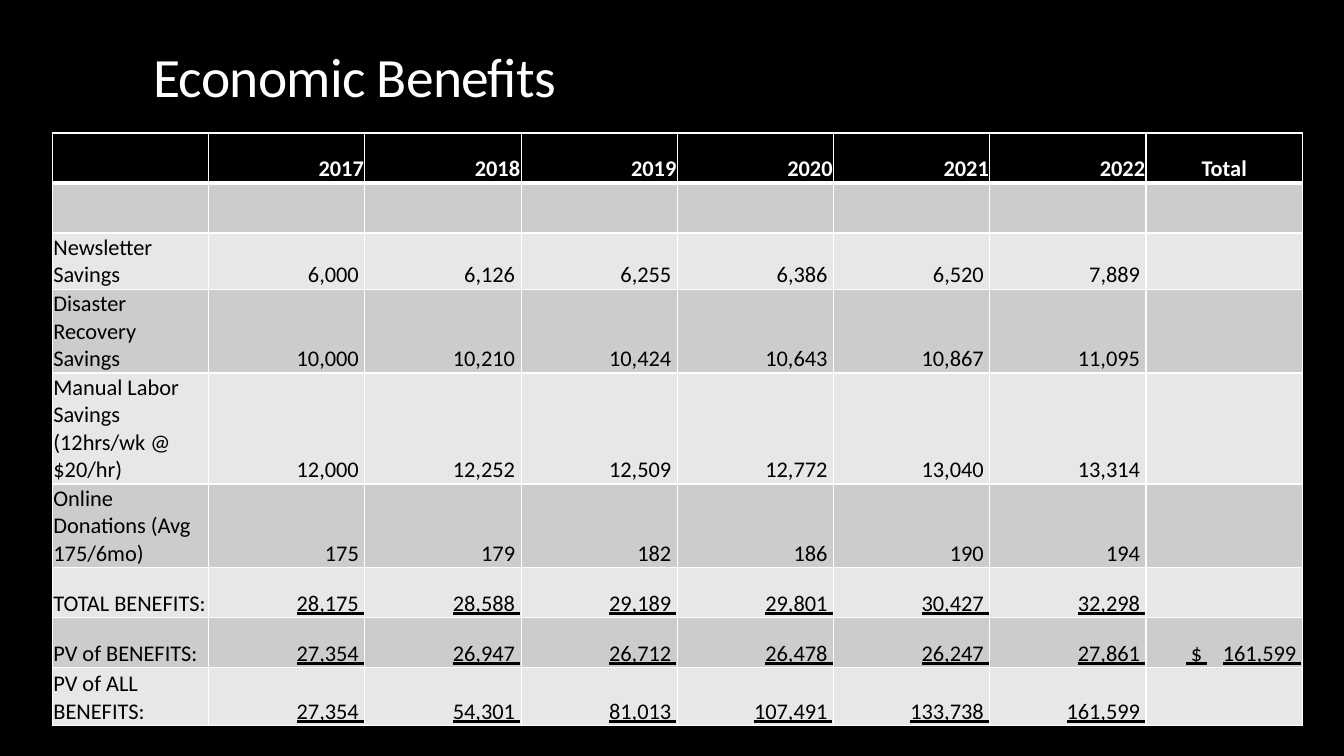
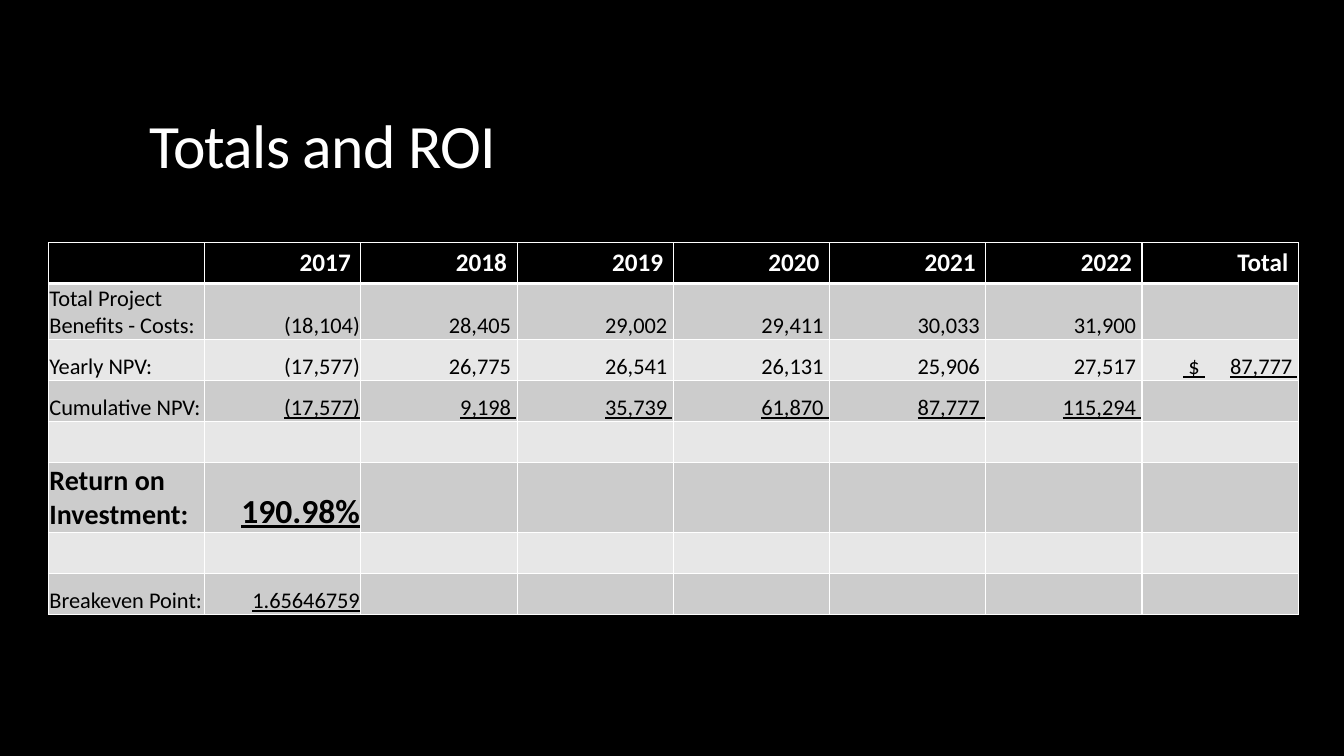
from dataclasses import dataclass
from typing import Optional, Union

from lxml.etree import SubElement
from pptx import Presentation
from pptx.dml.color import RGBColor
from pptx.enum.text import MSO_ANCHOR, MSO_AUTO_SIZE, PP_ALIGN
from pptx.oxml.ns import qn
from pptx.util import Inches, Pt


@dataclass(frozen=True)
class Theme:
    font: str = "Calibri"
    background: str = "000000"
    light: str = "FFFFFF"
    dark: str = "000000"
    bands: tuple[str, str] = ("CCCCCC", "E7E7E7")
    body_size: float = 16
    emphasis_size: float = 20
    result_size: float = 24
    title_tracking: int = -50
    thin_line: float = 1
    thick_line: float = 3
    tight_inset: float = 0.01
    header_inset: float = 0.1


@dataclass(frozen=True)
class Total:
    amount: int
    gap: float


@dataclass(frozen=True)
class Row:
    height: float
    label: str = ""
    values: tuple[Union[int, str], ...] = ()
    total: Optional[Total] = None
    underlined: bool = False
    bold: bool = False
    label_size: float = 16
    value_size: float = 16


@dataclass(frozen=True)
class TableSlide:
    title: str
    title_left: float
    title_height: float
    title_size: float
    table_left: float
    table_top: float
    header_height: float
    header_size: float
    header_inset: float
    total_alignment: PP_ALIGN
    rows: tuple[Row, ...]


THEME = Theme()
YEARS = tuple(str(year) for year in range(2017, 2023))
COLUMN_COUNT = len(YEARS) + 2
TITLE_TOP, TITLE_WIDTH, TABLE_WIDTH = 5.33, 79.5, 93.02
BENEFIT_ROW, ROI_ROW = 6.61, 5.42

BENEFITS = TableSlide(
    "Economic Benefits", 10.65, 9.87, 39.6, 3.9, 17.6,
    BENEFIT_ROW, 16, THEME.tight_inset, PP_ALIGN.CENTER,
    (
        Row(BENEFIT_ROW),
        Row(7.3, "Newsletter Savings", (6000, 6126, 6255, 6386, 6520, 7889)),
        Row(11, "Disaster Recovery Savings",
            (10000, 10210, 10424, 10643, 10867, 11095)),
        Row(14.6, "Manual Labor Savings (12hrs/wk @ $20/hr)",
            (12000, 12252, 12509, 12772, 13040, 13314)),
        Row(11, "Online Donations (Avg 175/6mo)",
            (175, 179, 182, 186, 190, 194)),
        Row(BENEFIT_ROW, "TOTAL BENEFITS:",
            (28175, 28588, 29189, 29801, 30427, 32298), underlined=True),
        Row(BENEFIT_ROW, "PV of BENEFITS:",
            (27354, 26947, 26712, 26478, 26247, 27861),
            Total(161599, 11), underlined=True),
        Row(7.7, "PV of ALL BENEFITS:",
            (27354, 54301, 81013, 107491, 133738, 161599), underlined=True),
    ),
)

RETURNS = TableSlide(
    "Totals and ROI", 10.35, 19.33, 44, 3.6, 32.1,
    ROI_ROW, 18, THEME.header_inset, PP_ALIGN.RIGHT,
    (
        Row(7.3, "Total Project Benefits - Costs:",
            (-18104, 28405, 29002, 29411, 30033, 31900)),
        Row(ROI_ROW, "Yearly NPV:",
            (-17577, 26775, 26541, 26131, 25906, 27517), Total(87777, 18)),
        Row(ROI_ROW, "Cumulative NPV:",
            (-17577, 9198, 35739, 61870, 87777, 115294), underlined=True),
        Row(ROI_ROW),
        Row(9.2, "Return on Investment:", ("190.98%",), underlined=True,
            bold=True, label_size=THEME.emphasis_size,
            value_size=THEME.result_size),
        Row(ROI_ROW),
        Row(ROI_ROW, "Breakeven Point:", ("1.65646759",), underlined=True),
    ),
)

presentation = Presentation()
presentation.slide_width = Inches(13.33)
presentation.slide_height = Inches(7.5)


def across(percent: float) -> int:
    return round(presentation.slide_width * percent / 100)


def down(percent: float) -> int:
    return round(presentation.slide_height * percent / 100)


def accounting(value: Union[int, str]) -> str:
    if isinstance(value, str):
        return value
    return f"({-value:,})" if value < 0 else f"{value:,} "


def format_paragraph(paragraph, size: float, color: str, bold: bool = False,
                     underlined: bool = False) -> None:
    for run in paragraph.runs:
        run.font.name = THEME.font
        run.font.size = Pt(size)
        run.font.bold = bold
        run.font.underline = underlined
        run.font.color.rgb = RGBColor.from_string(color)


def draw_borders(cell, top: float, bottom: float) -> None:
    properties = cell._tc.get_or_add_tcPr()
    thin = THEME.thin_line
    for side, width in (("L", thin), ("R", thin), ("T", top), ("B", bottom)):
        line = SubElement(properties, qn(f"a:ln{side}"), w=str(Pt(width)))
        fill = SubElement(line, qn("a:solidFill"))
        SubElement(fill, qn("a:srgbClr"), val=THEME.light)


def style_cell(cell, fill: str, side_inset: float,
               top: float = THEME.thin_line,
               bottom: float = THEME.thin_line) -> None:
    draw_borders(cell, top, bottom)
    cell.fill.solid()
    cell.fill.fore_color.rgb = RGBColor.from_string(fill)
    cell.vertical_anchor = MSO_ANCHOR.BOTTOM
    cell.margin_left = cell.margin_right = Inches(side_inset)
    cell.margin_top = Inches(THEME.tight_inset)
    cell.margin_bottom = Inches(side_inset / 2)


def write_cell(cell, text: str, alignment: PP_ALIGN, size: float, color: str,
               bold: bool = False, underlined: bool = False) -> None:
    paragraph = cell.text_frame.paragraphs[0]
    paragraph.text = text
    paragraph.alignment = alignment
    format_paragraph(paragraph, size, color, bold, underlined)


def write_total(cell, total: Total) -> None:
    paragraph = cell.text_frame.paragraphs[0]
    paragraph.alignment = PP_ALIGN.RIGHT
    for text in (" $", " ", accounting(total.amount)):
        paragraph.add_run().text = text
    format_paragraph(paragraph, THEME.body_size, THEME.dark, underlined=True)
    gap_properties = paragraph.runs[1].font._element
    gap_properties.set("spc", str(round(total.gap * 100)))


def add_title(slide, content: TableSlide) -> None:
    title = slide.shapes.title
    title.left, title.top = across(content.title_left), down(TITLE_TOP)
    title.width = across(TITLE_WIDTH)
    title.height = down(content.title_height)
    frame = title.text_frame
    frame.text = content.title
    frame.auto_size = MSO_AUTO_SIZE.NONE
    frame.vertical_anchor = MSO_ANCHOR.BOTTOM
    paragraph = frame.paragraphs[0]
    paragraph.alignment = PP_ALIGN.LEFT
    paragraph.line_spacing = 0.9
    format_paragraph(paragraph, content.title_size, THEME.light)
    run_properties = paragraph.runs[0].font._element
    run_properties.set("spc", str(THEME.title_tracking))


def fill_header(table, content: TableSlide) -> None:
    table.rows[0].height = down(content.header_height)
    for column, text in enumerate(("", *YEARS, "Total")):
        cell = table.cell(0, column)
        style_cell(cell, THEME.background, content.header_inset,
                   bottom=THEME.thick_line)
        alignment = (content.total_alignment if text == "Total"
                     else PP_ALIGN.RIGHT)
        write_cell(cell, text, alignment, content.header_size, THEME.light,
                   bold=True)


def fill_row(table, index: int, row: Row) -> None:
    table.rows[index].height = down(row.height)
    top = THEME.thick_line if index == 1 else THEME.thin_line
    for column in range(COLUMN_COUNT):
        style_cell(table.cell(index, column), THEME.bands[(index - 1) % 2],
                   THEME.tight_inset, top=top)
    write_cell(table.cell(index, 0), row.label, PP_ALIGN.LEFT,
               row.label_size, THEME.dark, row.bold)
    for column, value in enumerate(row.values, start=1):
        write_cell(table.cell(index, column), accounting(value),
                   PP_ALIGN.RIGHT, row.value_size, THEME.dark, row.bold,
                   row.underlined)
    if row.total:
        write_total(table.cell(index, COLUMN_COUNT - 1), row.total)


def add_table_slide(content: TableSlide) -> None:
    slide = presentation.slides.add_slide(presentation.slide_layouts[5])
    add_title(slide, content)
    height = content.header_height + sum(row.height for row in content.rows)
    table = slide.shapes.add_table(
        len(content.rows) + 1, COLUMN_COUNT, across(content.table_left),
        down(content.table_top), across(TABLE_WIDTH), down(height)).table
    table.horz_banding = False
    fill_header(table, content)
    for index, row in enumerate(content.rows, start=1):
        fill_row(table, index, row)


background = presentation.slide_master.background.fill
background.solid()
background.fore_color.rgb = RGBColor.from_string(THEME.background)
for table_slide in (BENEFITS, RETURNS):
    add_table_slide(table_slide)
presentation.save("out.pptx")
